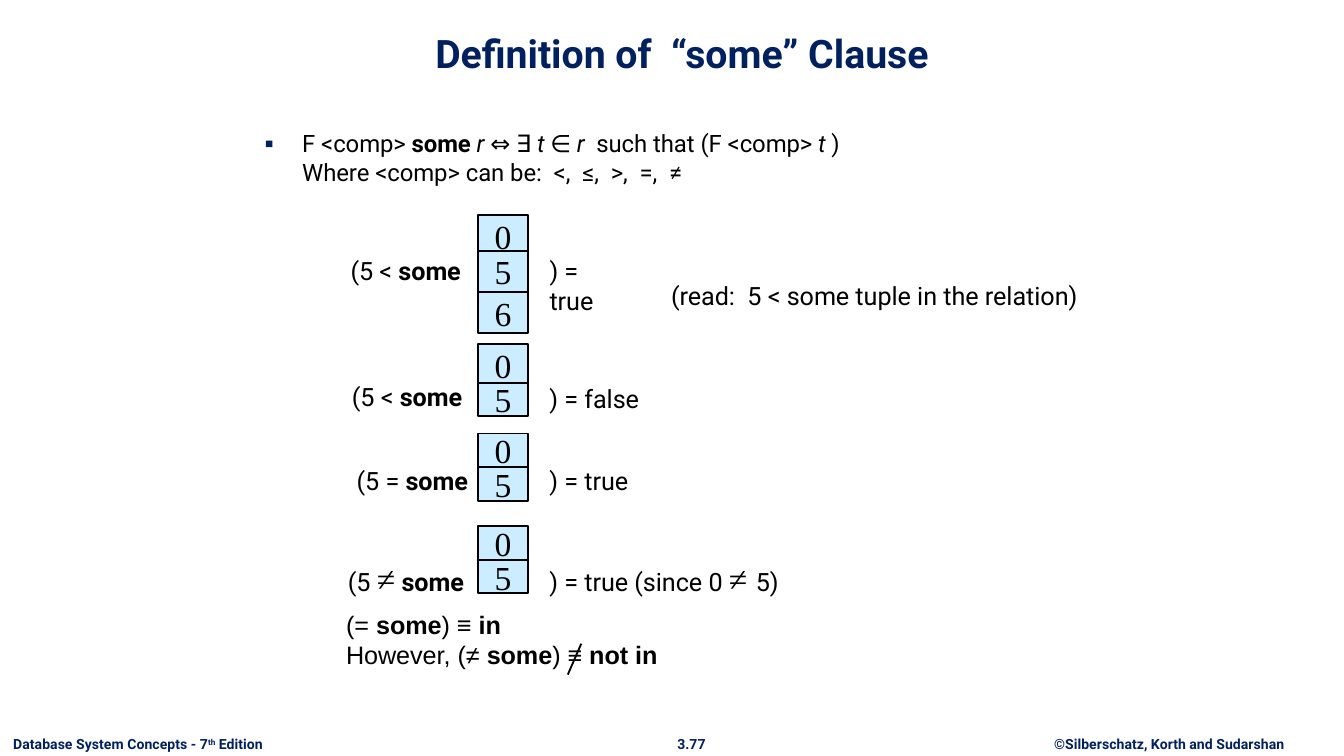
from dataclasses import dataclass
from typing import Optional

from lxml import etree
from pptx import Presentation
from pptx.dml.color import RGBColor
from pptx.enum.shapes import MSO_CONNECTOR, MSO_SHAPE
from pptx.enum.text import MSO_ANCHOR, PP_ALIGN
from pptx.oxml.ns import qn
from pptx.util import Pt

PX = 4572  # EMU per px, 200 px to the inch
LEFT, CENTER = PP_ALIGN.LEFT, PP_ALIGN.CENTER
TOP, MIDDLE, BOTTOM = MSO_ANCHOR.TOP, MSO_ANCHOR.MIDDLE, MSO_ANCHOR.BOTTOM
RECTANGLE, STRAIGHT = MSO_SHAPE.RECTANGLE, MSO_CONNECTOR.STRAIGHT

NAVY, BLACK, PALE_BLUE = "002060", "000000", "CCECFF"
SANS, SERIF, ARIAL = "Roboto", "Times New Roman", "Arial"
CELL_LEFT, CELL_WIDTH = 711, 75
RESULT_LEFT = 798


@dataclass(frozen=True)
class Style:
    size: float
    font: str = SANS
    color: str = BLACK
    bold: Optional[bool] = None


@dataclass(frozen=True)
class Run:
    text: str
    bold: Optional[bool] = None
    italic: Optional[bool] = None
    style: Optional[Style] = None
    baseline: int = 0


@dataclass(frozen=True)
class Label:
    left: int
    top: int
    width: int
    height: int
    lines: list[list[Run]]
    style: Style
    align: PP_ALIGN = LEFT
    anchor: MSO_ANCHOR = TOP
    wrap: bool = True
    inset: tuple[int, int] = (20, 10)
    bullet: bool = False


@dataclass(frozen=True)
class Cell:
    value: str
    top: int
    height: int


TITLE = Style(21, color=NAVY, bold=True)
FOOTER = Style(7.5, color=NAVY, bold=True)
BODY = Style(12.75)
EXAMPLE = Style(13.5)
SUMMARY = Style(13.5, ARIAL)
SERIF_SYMBOL = Style(18, SERIF)
SOME = Run("some", bold=True)
LINE_BREAK = Run("\n")


def rgb(color: str) -> RGBColor:
    return RGBColor.from_string(color)


def set_font(font, style: Style) -> None:
    font.size, font.name, font.bold = Pt(style.size), style.font, style.bold
    font.color.rgb = rgb(style.color)


def add_bullet(paragraph) -> None:
    properties = paragraph._p.get_or_add_pPr()
    properties.set("marL", str(56 * PX))
    properties.set("indent", str(-56 * PX))
    color = etree.SubElement(properties, qn("a:buClr"))
    etree.SubElement(color, qn("a:srgbClr"), val=NAVY)
    etree.SubElement(properties, qn("a:buSzPct"), val="110000")
    etree.SubElement(properties, qn("a:buFont"), typeface=ARIAL)
    etree.SubElement(properties, qn("a:buChar"), char="▪")


def write_line(paragraph, runs: list[Run], style: Style, align: PP_ALIGN) -> None:
    paragraph.alignment = align
    set_font(paragraph.font, style)
    for part in runs:
        if part == LINE_BREAK:
            paragraph.add_line_break()
            continue
        run = paragraph.add_run()
        run.text = part.text
        if part.style:
            set_font(run.font, part.style)
        if part.bold:
            run.font.bold = True
        if part.italic:
            run.font.italic = True
        if part.baseline:
            run._r.get_or_add_rPr().set("baseline", str(part.baseline * 1000))


def add_label(slide, label: Label) -> None:
    box = slide.shapes.add_textbox(
        label.left * PX, label.top * PX, label.width * PX, label.height * PX)
    frame = box.text_frame
    frame.word_wrap = label.wrap
    frame.vertical_anchor = label.anchor
    frame.margin_left = frame.margin_right = label.inset[0] * PX
    frame.margin_top = frame.margin_bottom = label.inset[1] * PX
    for index, runs in enumerate(label.lines):
        paragraph = frame.add_paragraph() if index else frame.paragraphs[0]
        if label.bullet:
            add_bullet(paragraph)
        write_line(paragraph, runs, label.style, label.align)


def add_cell(slide, cell: Cell) -> None:
    box = slide.shapes.add_shape(
        RECTANGLE, CELL_LEFT * PX, cell.top * PX, CELL_WIDTH * PX, cell.height * PX)
    box.shadow.inherit = False
    box.fill.solid()
    box.fill.fore_color.rgb = rgb(PALE_BLUE)
    box.line.color.rgb = rgb(BLACK)
    box.line.width = Pt(1)
    frame = box.text_frame
    frame.word_wrap = False
    frame.vertical_anchor = MIDDLE
    write_line(frame.paragraphs[0], [Run(cell.value)], SERIF_SYMBOL, CENTER)


def add_strike(slide, start: tuple[int, int], end: tuple[int, int]) -> None:
    strike = slide.shapes.add_connector(
        STRAIGHT, start[0] * PX, start[1] * PX, end[0] * PX, end[1] * PX)
    strike.line.color.rgb = rgb(BLACK)
    strike.line.width = Pt(1)
    etree.SubElement(strike._element.spPr, qn("a:effectLst"))


def example(left: int, top: int, width: int, height: int, *runs: Run) -> Label:
    return Label(left, top, width, height, [list(runs)], EXAMPLE)


FRAME_LABELS = [
    # Footer
    Label(1537, 1085, 406, 46, [[Run("©Silberschatz, Korth and Sudarshan")]],
          FOOTER, CENTER, wrap=False),
    Label(987, 1085, 84, 46, [[Run("3.77")]], FOOTER, CENTER, wrap=False),
    Label(0, 1085, 436, 46,
          [[Run("Database System Concepts - 7"), Run("th", baseline=30), Run(" Edition")]],
          FOOTER, wrap=False),
    # Title and definition
    Label(353, 24, 1324, 100, [[Run("Definition of  “some” Clause")]],
          TITLE, CENTER, BOTTOM),
    Label(374, 182, 1116, 118,
          [[Run("F <comp> "), Run("some ", bold=True), Run("r ", italic=True), Run("⇔ ∃ "),
            Run("t ", italic=True), Run("∈"), Run(" r  ", italic=True),
            Run("such that (F <comp> "), Run("t ", italic=True), Run(")"), LINE_BREAK,
            Run("Where <comp> can be:  <,  ≤,  >,  =,  ≠")]],
          BODY, bullet=True),
]

RELATION_CELLS = [
    Cell("0", 320, 62), Cell("5", 373, 62), Cell("6", 435, 61),
    Cell("0", 512, 62), Cell("5", 570, 49),
    Cell("0", 645, 50), Cell("5", 695, 50),
    Cell("0", 783, 50), Cell("5", 833, 50),
]

EXAMPLE_LABELS = [
    # Comparisons left of the relations
    example(502, 370, 222, 66, Run("(5 < "), SOME),
    example(504, 558, 226, 66, Run("(5 < "), SOME),
    example(511, 683, 250, 66, Run("(5 = "), SOME),
    example(498, 821, 238, 80, Run("(5 "), Run("≠", style=SERIF_SYMBOL), Run(" "), SOME),
    # Results right of the relations
    example(RESULT_LEFT, 370, 150, 112, Run(") = true")),
    example(RESULT_LEFT, 561, 200, 66, Run(") = false")),
    example(RESULT_LEFT, 683, 200, 66, Run(") = true")),
    example(RESULT_LEFT, 821, 412, 80, Run(") = true (since 0 "),
            Run("≠ ", style=SERIF_SYMBOL), Run("5)")),
    example(979, 408, 800, 66, Run("(read:  5 < some tuple in the relation)")),
    # Equivalences
    Label(501, 898, 1116, 118,
          [[Run("(= "), SOME, Run(") ≡ "), Run("in", bold=True)],
           [Run("However, (≠ "), SOME, Run(") ≡ "), Run("not in", bold=True)]],
          SUMMARY, inset=(14, 8)),
]


def main() -> None:
    deck = Presentation()
    deck.slide_width, deck.slide_height = 2000 * PX, 1125 * PX
    slide = deck.slides.add_slide(deck.slide_layouts[6])
    for label in FRAME_LABELS:
        add_label(slide, label)
    for cell in RELATION_CELLS:
        add_cell(slide, cell)
    for label in EXAMPLE_LABELS:
        add_label(slide, label)
    # Stroke through the equivalence sign
    add_strike(slide, (865, 958), (845, 1004))
    deck.save("out.pptx")


if __name__ == "__main__":
    main()
